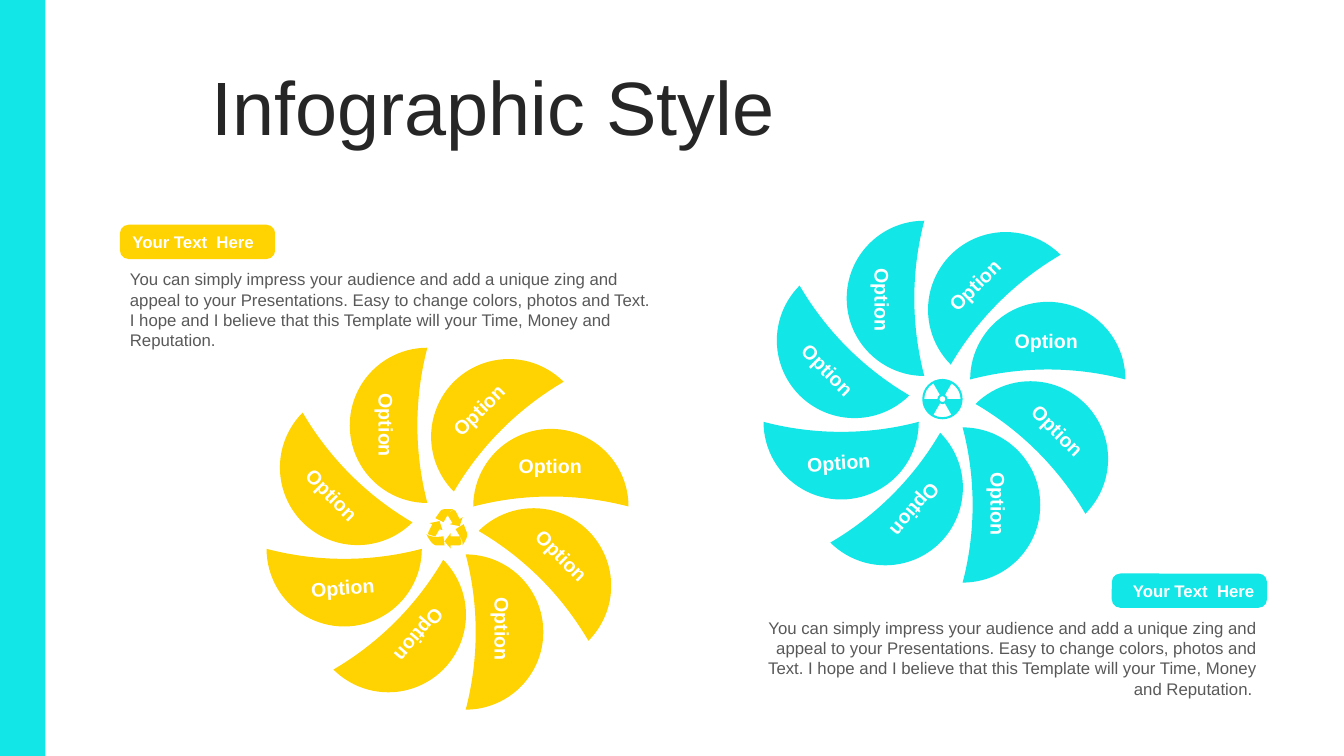
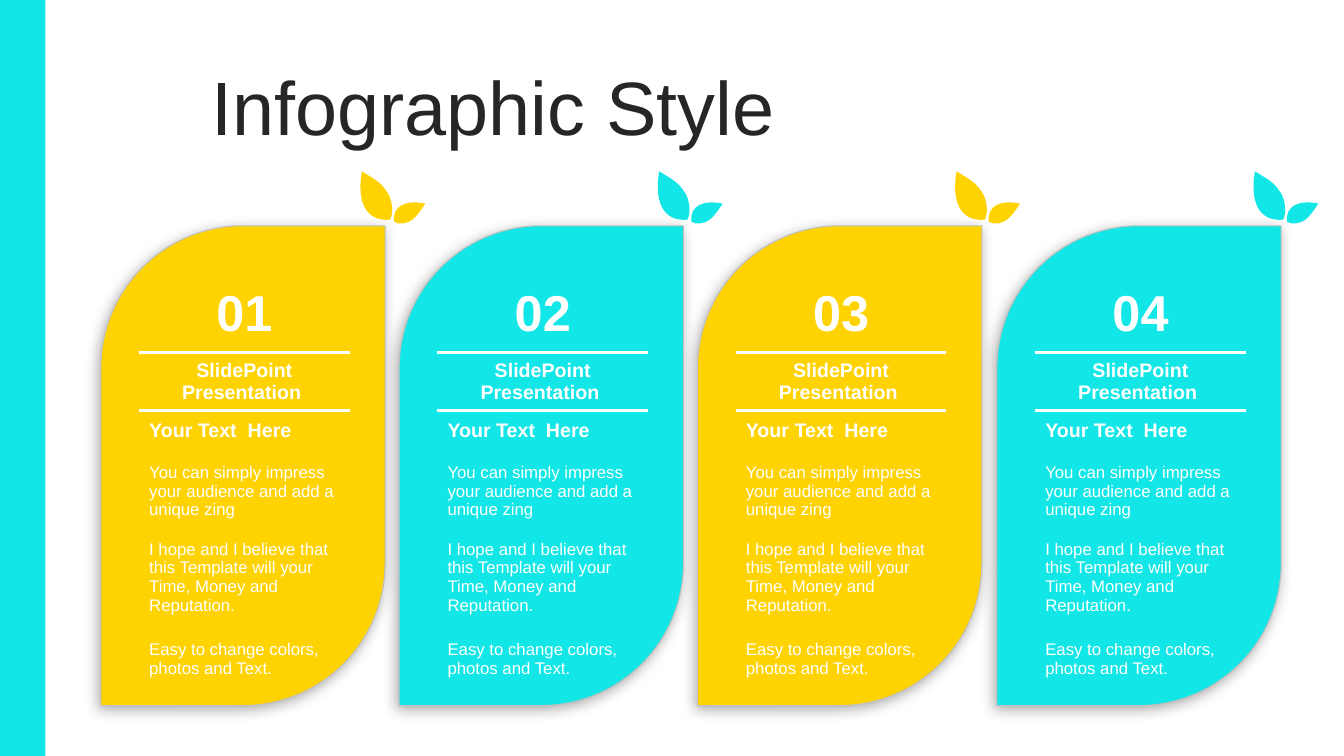
"""Build two infographic slides: twin pinwheels and a row of leaf cards."""
from math import ceil, cos, radians, sin, tan

from lxml import etree
from pptx import Presentation
from pptx.dml.color import RGBColor
from pptx.enum.shapes import MSO_SHAPE
from pptx.enum.text import MSO_ANCHOR, PP_ALIGN
from pptx.oxml.ns import qn
from pptx.util import Pt

RECT, PILL = MSO_SHAPE.RECTANGLE, MSO_SHAPE.ROUNDED_RECTANGLE
MOON, CARD = MSO_SHAPE.MOON, MSO_SHAPE.ROUND_2_DIAG_RECTANGLE
LEFT, MID, RIGHT = PP_ALIGN.LEFT, PP_ALIGN.CENTER, PP_ALIGN.RIGHT
TOP, MIDDLE = MSO_ANCHOR.TOP, MSO_ANCHOR.MIDDLE
PX = 9144
PLAIN = "{2D5ABB26-0587-4C30-8999-92F81FD0307C}"


class Theme:
    font = "Arial"
    aqua, gold, white = "12E6E6", "FFD302", "FFFFFF"
    ink, gray, edge, shade = "262626", "595959", "BFBFBF", "000000"
    title, num, head, body = 54, 36, 14, 12
    rule, thin = 2.25, 0.75


TITLE = "Infographic Style"
LABEL = "Your Text  Here"
STORY = ("You can simply impress your audience and add a unique zing and appeal to "
         "your Presentations. Easy to change colors, photos and Text. I hope and I "
         "believe that this Template will your Time, Money and Reputation.")

BLADES = [
    (270, -141, -17), (90, 64, -136), (135, 74, -46), (180, 18, 27),
    (315, -155, -109), (0, -97, -178), (45, -5, -194), (225, -70, 37),
]
WORDS = [
    (0, 55, -78), (45, 66, 11), (90, 7, 84), (130.9, -75, 90),
    (356.3, -151, 43), (45, -162, -49), (90, -108, -118), (315, -16, -133),
]
WHEELS = [
    dict(hub=(444, 523), core=(444, 523), color=Theme.gold, align=LEFT,
         pill=(119, 223, 154, 34), box=(119, 262, 538, 91), story=STORY),
    dict(hub=(937, 397), core=(936, 399), color=Theme.aqua, align=RIGHT,
         pill=(1103, 569, 154, 34), box=(722, 608, 535, 91), story=STORY + " "),
]

RECYCLE = [
    [(423, 530), (426, 533, 434, 533, 440, 532), (441, 541), (432, 541),
     (429, 540, 426, 536, 423, 530)],
    [(447, 529), (447, 532), (456, 532), (457, 536, 460, 540, 456, 541),
     (447, 541), (447, 544), (441, 537)],
    [(460, 520), (463, 528), (465, 531, 462, 536, 459, 541),
     (460, 537, 455, 530, 452, 525)],
    [(436, 517), (439, 526), (436, 525), (432, 532),
     (428, 531, 423, 531, 425, 528), (429, 520), (426, 519)],
    [(450, 506), (450, 506, 451, 506, 452, 507), (456, 515), (459, 513),
     (456, 522), (446, 520), (449, 519), (444, 511),
     (446, 509, 448, 506, 450, 506)],
    [(446, 505), (447, 505, 449, 505, 450, 505), (446, 506, 443, 513, 440, 518),
     (432, 514), (437, 507), (438, 505, 441, 505, 446, 505)],
]
ATOM = (935, 396)
LEAVES = [
    [(387, 218), (391, 211, 389, 196, 383, 189), (377, 180, 370, 177, 359, 170),
     (354, 199, 362, 220, 387, 218)],
    [(391, 220), (395, 223, 404, 222, 409, 218), (415, 213, 417, 209, 422, 202),
     (403, 198, 389, 204, 391, 220)],
]

CARDS = [("01", Theme.gold), ("02", Theme.aqua), ("03", Theme.gold), ("04", Theme.aqua)]
COLS = (24, 209, 23)
ROWS = [
    (42, "", Theme.body, False, LEFT),
    (76, "", Theme.num, True, MID),
    (57, "SlidePoint Presentation ", Theme.head, True, MID),
    (41, LABEL, Theme.head, True, LEFT),
    (79, "You can simply impress your audience and add a unique zing",
     Theme.body, False, LEFT),
    (92, "I hope and I believe that this Template will your Time, Money and Reputation.",
     Theme.body, False, LEFT),
    (70, "Easy to change colors, photos and Text.", Theme.body, False, LEFT),
]
SIDES = ("lnL", "lnR", "lnT", "lnB")
RULES = {(1, "lnB"), (2, "lnT"), (2, "lnB"), (3, "lnT")}


def emu(*sizes):
    return [round(size * PX) for size in sizes]


def rgb(color):
    return RGBColor.from_string(color)


def write(frame, text, size, color, bold=False, align=LEFT, anchor=TOP):
    frame.word_wrap = True
    frame.vertical_anchor = anchor
    para = frame.paragraphs[0]
    para.text, para.alignment = text, align
    font = para.font
    font.name, font.size, font.bold = Theme.font, Pt(size), bold
    font.color.rgb = rgb(color)
    return para


def paint(shape, color):
    shape.shadow.inherit = False
    shape.fill.solid()
    shape.fill.fore_color.rgb = rgb(color)
    shape.line.fill.background()
    return shape


def block(slide, kind, box, color, *adjust):
    shape = paint(slide.shapes.add_shape(kind, *emu(*box)), color)
    for i, value in enumerate(adjust):
        shape.adjustments[i] = value
    return shape


def note(slide, box, *args, **style):
    shape = slide.shapes.add_textbox(*emu(*box))
    return shape, write(shape.text_frame, *args, **style)


def arc(radius, start, end):
    """Return the first point of an arc and its cubic pieces."""
    count = ceil(abs(end - start) / 90)
    step = radians((end - start) / count)
    pull = 4 / 3 * tan(step / 4)

    def spot(angle, bend=0):
        return (ATOM[0] + radius * (cos(angle) - bend * sin(angle)),
                ATOM[1] + radius * (sin(angle) + bend * cos(angle)))

    turns = [radians(start) + step * n for n in range(count + 1)]
    return [spot(turns[0])] + [spot(a, pull) + spot(b, -pull) + spot(b)
                               for a, b in zip(turns, turns[1:])]


def bend(shape, parts):
    lines = list(shape._element.iter(qn("a:lnTo")))
    for size in parts:
        group, lines = lines[:size], lines[size:]
        if size == 3:
            curve = etree.Element(qn("a:cubicBezTo"))
            group[0].addprevious(curve)
            for line in group:
                curve.append(line[0])
                line.getparent().remove(line)


def draw(slide, loops, color, dx=0):
    pen, sizes = None, []
    for first, *parts in loops:
        start = emu(first[0] + dx, first[1])
        if pen is None:
            pen = slide.shapes.build_freeform(*start)
        else:
            pen.move_to(*start)
        pen.add_line_segments([emu(x + dx, y) for part in parts
                               for x, y in zip(part[::2], part[1::2])], close=True)
        sizes += [len(part) // 2 for part in parts]
    shape = paint(pen.convert_to_shape(), color)
    bend(shape, sizes)


def base(deck):
    slide = deck.slides.add_slide(deck.slide_layouts[6])
    block(slide, RECT, (0, 0, 45, 750), Theme.aqua)
    _, para = note(slide, (200, 71, 1092, 79), TITLE, Theme.title, Theme.ink,
                   anchor=MIDDLE)
    para.line_spacing = 0.9
    return slide


def wheel(slide, hub, core, color, align, pill, box, story):
    for turn, dx, dy in BLADES:
        petal = block(slide, MOON, (hub[0] + dx, hub[1] + dy, 77, 154), color, 0.871)
        petal.rotation = turn
    tag = block(slide, PILL, pill, color, 0.252)
    write(tag.text_frame, LABEL, Theme.body, Theme.white, True, align, MIDDLE)
    note(slide, box, story, Theme.body, Theme.gray, align=align)
    for turn, dx, dy in WORDS:
        label, _ = note(slide, (core[0] + dx, core[1] + dy, 94, 34), "Option",
                        Theme.head, Theme.white, bold=True, align=MID)
        label.rotation = turn


def border(cell, r):
    props = cell._tc.get_or_add_tcPr()
    for i, side in enumerate(SIDES):
        line = etree.Element(qn("a:" + side))
        if (r, side) in RULES:
            line.set("w", str(Pt(Theme.rule)))
            fill = etree.SubElement(line, qn("a:solidFill"))
            etree.SubElement(fill, qn("a:srgbClr"), val=Theme.white)
        else:
            etree.SubElement(line, qn("a:noFill"))
        props.insert(i, line)


def grid(slide, left, num):
    tall = sum(row[0] for row in ROWS)
    box = emu(left, 232, sum(COLS), tall)
    table = slide.shapes.add_table(len(ROWS), len(COLS), *box).table
    table.first_row = table.horz_banding = False
    table._tbl.tblPr.find(qn("a:tableStyleId")).text = PLAIN
    for col, width in zip(table.columns, emu(*COLS)):
        col.width = width
    for r, (height, text, size, bold, align) in enumerate(ROWS):
        table.rows[r].height = emu(height)[0]
        for cell in table.rows[r].cells:
            cell.fill.background()
        cell = table.cell(r, 1)
        words = num if r == 1 else text
        if words:
            write(cell.text_frame, words, size, Theme.white, bold, align)
        cell.vertical_anchor = MIDDLE
        border(cell, r)


def shade(shape):
    effects = shape._element.spPr.find(qn("a:effectLst"))
    drop = etree.SubElement(effects, qn("a:outerShdw"), blurRad=str(Pt(10)),
                            dist=str(Pt(3)), dir=str(135 * 60000), rotWithShape="0")
    color = etree.SubElement(drop, qn("a:srgbClr"), val=Theme.shade)
    etree.SubElement(color, qn("a:alpha"), val="33000")


def card(slide, i, num, color):
    left = 100 + 889 * i // 3
    leaf = block(slide, CARD, (left, 224, 282, 476), color, 0.5, 0)
    leaf.line.color.rgb = rgb(Theme.edge)
    leaf.line.width = Pt(Theme.thin)
    shade(leaf)
    grid(slide, left + 14, num)
    for loop in LEAVES:
        draw(slide, [loop], color, 886 * i // 3)


def main():
    deck = Presentation()
    deck.slide_width, deck.slide_height = emu(750 * 16 / 9, 750)
    slide = base(deck)
    for plan in WHEELS:
        wheel(slide, **plan)
    draw(slide, RECYCLE, Theme.gold)
    fans = []
    for turn in (60, 180, 300):
        inner = arc(5, turn + 60, turn)
        fans.append(arc(18, turn, turn + 60) + inner)
    draw(slide, [arc(20, 0, 360), arc(3, 0, 360), *fans], Theme.aqua)
    slide = base(deck)
    for i, (num, color) in enumerate(CARDS):
        card(slide, i, num, color)
    deck.save("out.pptx")


if __name__ == "__main__":
    main()
